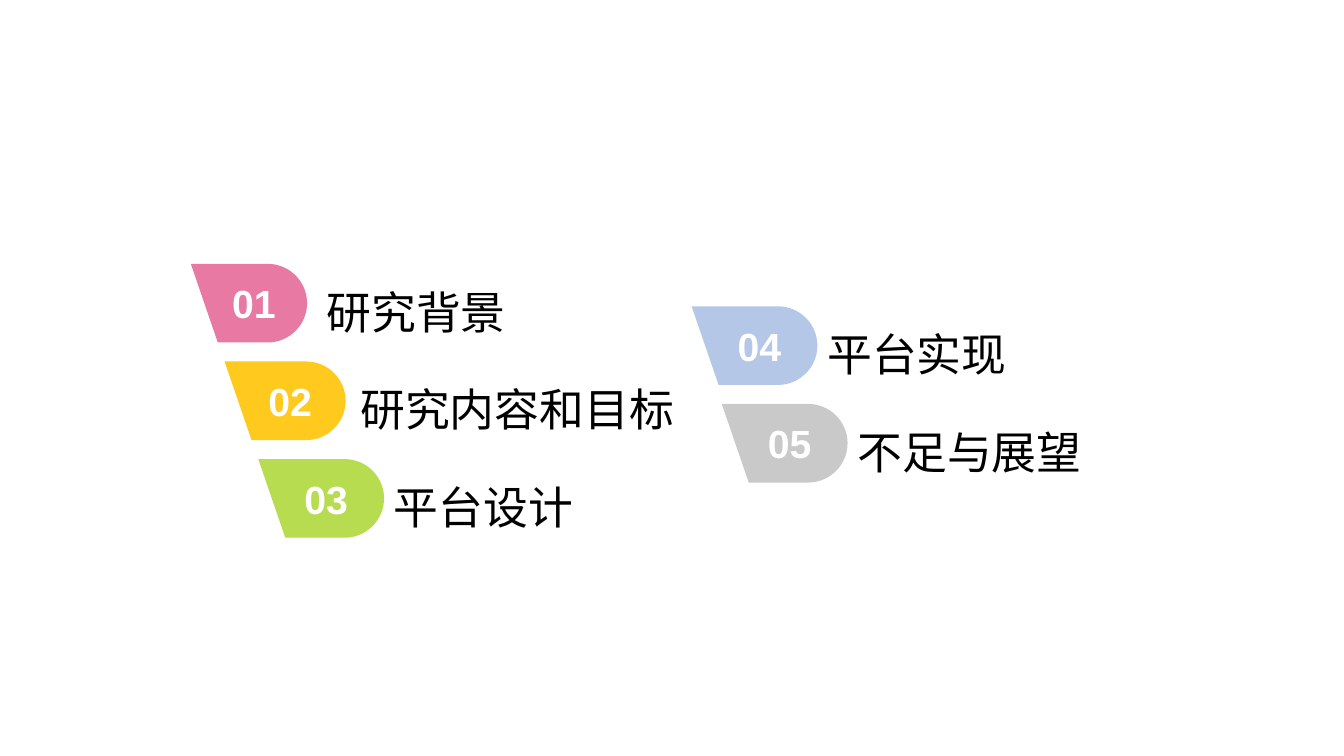
from pptx import Presentation
from pptx.dml.color import RGBColor
from pptx.enum.text import MSO_ANCHOR, PP_ALIGN
from pptx.oxml.ns import qn
from pptx.util import Cm, Pt
from lxml import etree

MIDDLE = MSO_ANCHOR.MIDDLE
CENTER, LEFT = PP_ALIGN.CENTER, PP_ALIGN.LEFT
TALL, SLANT, PITCH, FULL = 1.98, 0.68, 2.46, 3.17
BEND = 0.55
TAB = {"name": "Arial", "size": Pt(28), "bold": True}
LABEL = {"name": "Arial", "size": Pt(32), "bold": False}
FRAME = {"word_wrap": True, "vertical_anchor": MIDDLE}
INSET = {"margin_left": Cm(0.5), "margin_right": Cm(0.25)}
LISTS = [
    {"left": 4.81, "top": 6.65, "shift": 0.85, "wide": 2.93, "grow": 0.12,
     "first": 1,
     "items": [("研究背景", "E779A3", 12.95),
               ("研究内容和目标", "FFC91D", 12.95),
               ("平台设计", "B7DC50", 12.95)]},
    {"left": 17.43, "top": 7.72, "shift": 0.76, "wide": FULL, "grow": 0,
     "first": 4,
     "items": [("平台实现", "B4C7E7", 5.92), ("不足与展望", "C9C9C9", 6.53)]},
]


def color(code):
    """Turn a hex string into a colour."""
    return RGBColor.from_string(code)


def assign(item, values):
    """Set each named value on an item."""
    for name, value in values.items():
        setattr(item, name, value)


def write(shape, text, font, code, align):
    """Put one formatted line of text in a shape."""
    assign(shape.text_frame, FRAME)
    line = shape.text_frame.paragraphs[0]
    line.text = text
    line.alignment = align
    assign(line.font, font)
    line.font.color.rgb = color(code)
    return line


def bend(edge, points):
    """Replace a straight edge by a curve through the given points."""
    curve = etree.Element(qn("a:cubicBezTo"))
    for x, y in points:
        etree.SubElement(curve, qn("a:pt"), x=str(Cm(x)), y=str(Cm(y)))
    edge.getparent().replace(edge, curve)


def add_tab(slide, left, top, wide, text, code):
    """Draw a numbered tab with a slanted left and a round right end."""
    half = TALL / 2
    hub, pull = wide - half, half * BEND
    corners = [(hub, 0), (wide, half), (hub, TALL), (SLANT, TALL)]
    outline = slide.shapes.build_freeform(Cm(left), Cm(top))
    outline.add_line_segments(
        [(Cm(left + x), Cm(top + y)) for x, y in corners], close=True)
    shape = outline.convert_to_shape()
    edges = list(shape.element.iter(qn("a:lnTo")))
    bend(edges[1], [(hub + pull, 0), (wide, half - pull), (wide, half)])
    bend(edges[2], [(wide, half + pull), (hub + pull, TALL), (hub, TALL)])
    shape.shadow.inherit = False
    shape.fill.solid()
    shape.fill.fore_color.rgb = color(code)
    shape.line.fill.background()
    assign(shape.text_frame, INSET)
    write(shape, text, TAB, "FFFFFF", CENTER)


def add_label(slide, left, top, wide, text):
    """Place the heading beside a tab."""
    box = slide.shapes.add_textbox(Cm(left), Cm(top), Cm(wide), Cm(1.14))
    write(box, text, LABEL, "000000", LEFT).line_spacing = 1.3


def add_list(slide, left, top, shift, wide, grow, first, items):
    """Build a stepped list of tabs and headings."""
    for row, (text, code, room) in enumerate(items):
        x, y = left + row * shift, top + row * PITCH
        add_tab(slide, x, y, wide + row * grow, f"{first + row:02}", code)
        add_label(slide, x + FULL, y + 0.42, room, text)


def main():
    """Build and save the contents slide."""
    deck = Presentation()
    deck.slide_width, deck.slide_height = Cm(33.87), Cm(19.05)
    slide = deck.slides.add_slide(deck.slide_layouts[6])
    for part in LISTS:
        add_list(slide, **part)
    deck.save("out.pptx")


if __name__ == "__main__":
    main()
